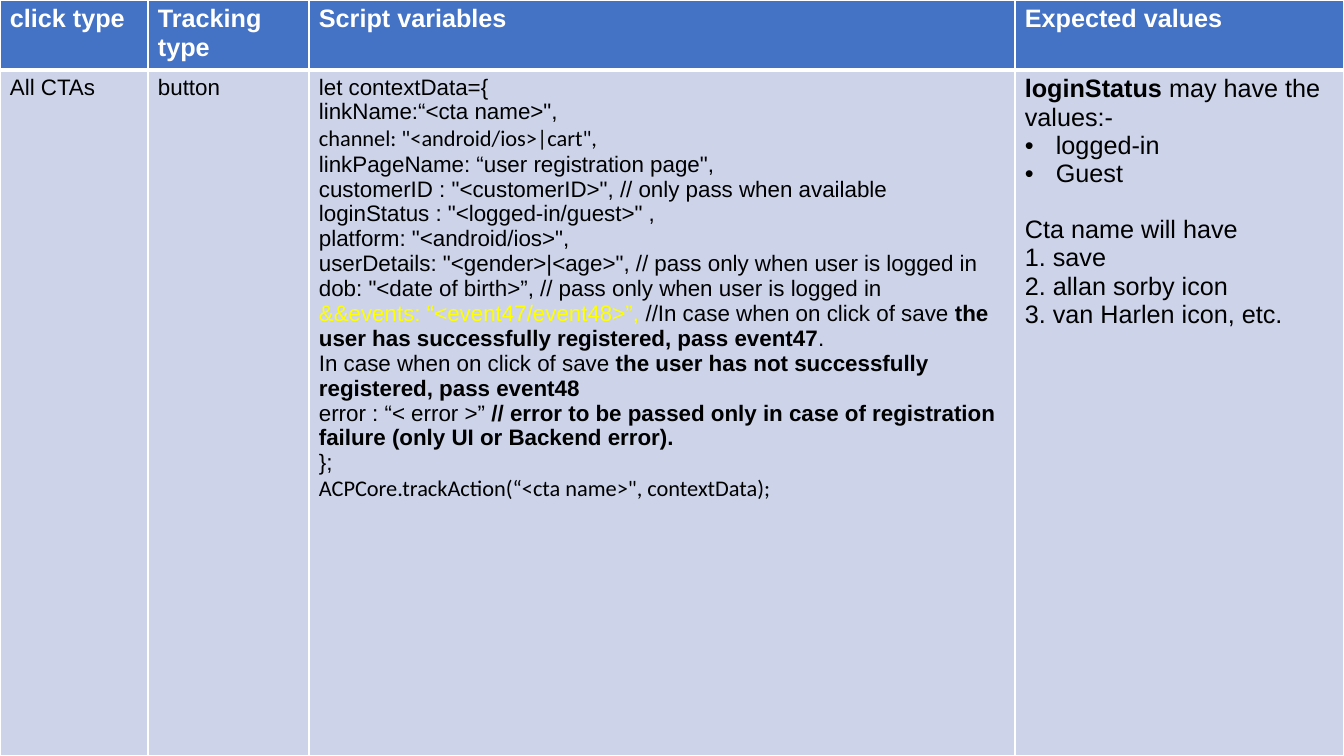
"""Build the slide that lists the click tracking variables."""
from lxml import etree
from pptx import Presentation
from pptx import util as u
from pptx.dml.color import RGBColor
from pptx.oxml.ns import qn

PX = 914400 / 100.8
SLIDE = (1344, 756)
COLUMNS = (148, 161, 706, 329)
ROWS = (70, 686)
MARGIN_X, MARGIN_Y = 10, 5
BULLET_INDENT, SECTION_GAP = 31, 28
WHITE, BLACK, YELLOW = "FFFFFF", "000000", "FFFF00"
HEADER_FILL, BODY_FILL = "4472C4", "CDD4EA"

BOLD = {"bold": True}
CODE = {"font": "Calibri"}
HIGHLIGHT = {"color": YELLOW}

HEADERS = ("click type", "Tracking type", "Script variables", "Expected values")
VARIABLES = [
    ["let contextData={"],
    ['linkName:“<cta name>",'],
    [('channel: "<android/ios>|cart",', CODE)],
    ['linkPageName: “user registration page",'],
    ['customerID : "<customerID>", // only pass when available'],
    ['loginStatus : "<logged-in/guest>" ,'],
    ['platform: "<android/ios>",'],
    ['userDetails: "<gender>|<age>", // pass only when user is logged in'],
    ['dob: "<date of birth>”, // pass only when user is logged in'],
    [("&&events: “<event47/event48>”, ", HIGHLIGHT),
     "//In case when on click of save ",
     ("the user has successfully registered, pass event47", BOLD), "."],
    ["In case when on click of save ",
     ("the user has not successfully registered, pass event48", BOLD)],
    ["error : “< error >” ",
     ("// error to be passed only in case of registration failure "
      "(only UI or Backend error).", BOLD)],
    ["};"],
    [("ACPCore.trackAction(“<cta name>\", contextData);", CODE)],
]
EXPECTED = [
    [("loginStatus ", BOLD), "may have the values:-"],
    ["logged-in"],
    ["Guest"],
    ["Cta name will have"],
    ["1. save"],
    ["2. allan sorby icon"],
    ["3. van Harlen icon, etc."],
]
BULLETED = ("logged-in", "Guest")
SECTION_START = "Cta name will have"
BODY = [([["All CTAs"]], 16), ([["button"]], 16), (VARIABLES, 16), (EXPECTED, 18)]


def px(length):
    return u.Emu(round(length * PX))


def rgb(value):
    return RGBColor.from_string(value)


def add_bullet(para):
    properties = para._p.get_or_add_pPr()
    properties.set("marL", str(px(BULLET_INDENT)))
    properties.set("indent", str(-px(BULLET_INDENT)))
    etree.SubElement(properties, qn("a:buFont")).set("typeface", "Arial")
    etree.SubElement(properties, qn("a:buChar")).set("char", "•")


def set_borders(cell, widths):
    properties = cell._tc.get_or_add_tcPr()
    for index, (side, width) in enumerate(zip("LRTB", widths)):
        line = etree.Element(qn(f"a:ln{side}"), w=str(u.Pt(width)))
        fill = etree.SubElement(line, qn("a:solidFill"))
        etree.SubElement(fill, qn("a:srgbClr")).set("val", WHITE)
        properties.insert(index, line)


def write_cell(cell, lines, size, color, fill, widths):
    cell.margin_left = cell.margin_right = px(MARGIN_X)
    cell.margin_top = cell.margin_bottom = px(MARGIN_Y)
    cell.fill.solid()
    cell.fill.fore_color.rgb = rgb(fill)
    set_borders(cell, widths)
    frame = cell.text_frame
    for index, line in enumerate(lines):
        para = frame.add_paragraph() if index else frame.paragraphs[0]
        if line[0] in BULLETED:
            add_bullet(para)
        if line[0] == SECTION_START:
            para.space_before = px(SECTION_GAP)
        for part in line:
            words, style = (part, {}) if isinstance(part, str) else part
            span = para.add_run()
            span.text = words
            span.font.size = u.Pt(size)
            span.font.name = style.get("font", "Arial")
            span.font.bold = style.get("bold", False)
            span.font.color.rgb = rgb(style.get("color", color))


def main():
    deck = Presentation()
    deck.slide_width, deck.slide_height = map(px, SLIDE)
    page = deck.slides.add_slide(deck.slide_layouts[6])
    table = page.shapes.add_table(
        len(ROWS), len(COLUMNS), 0, 0, px(sum(COLUMNS)), px(sum(ROWS))).table
    table.first_row = True
    table.horz_banding = False
    for column, width in zip(table.columns, COLUMNS):
        column.width = px(width)
    for row, height in zip(table.rows, ROWS):
        row.height = px(height)
    for index, (header, (lines, size)) in enumerate(zip(HEADERS, BODY)):
        write_cell(table.cell(0, index), [[(header, BOLD)]], 18, WHITE,
                   HEADER_FILL, (1, 1, 1, 3))
        write_cell(table.cell(1, index), lines, size, BLACK,
                   BODY_FILL, (1, 1, 3, 1))
    deck.save("out.pptx")


if __name__ == "__main__":
    main()
